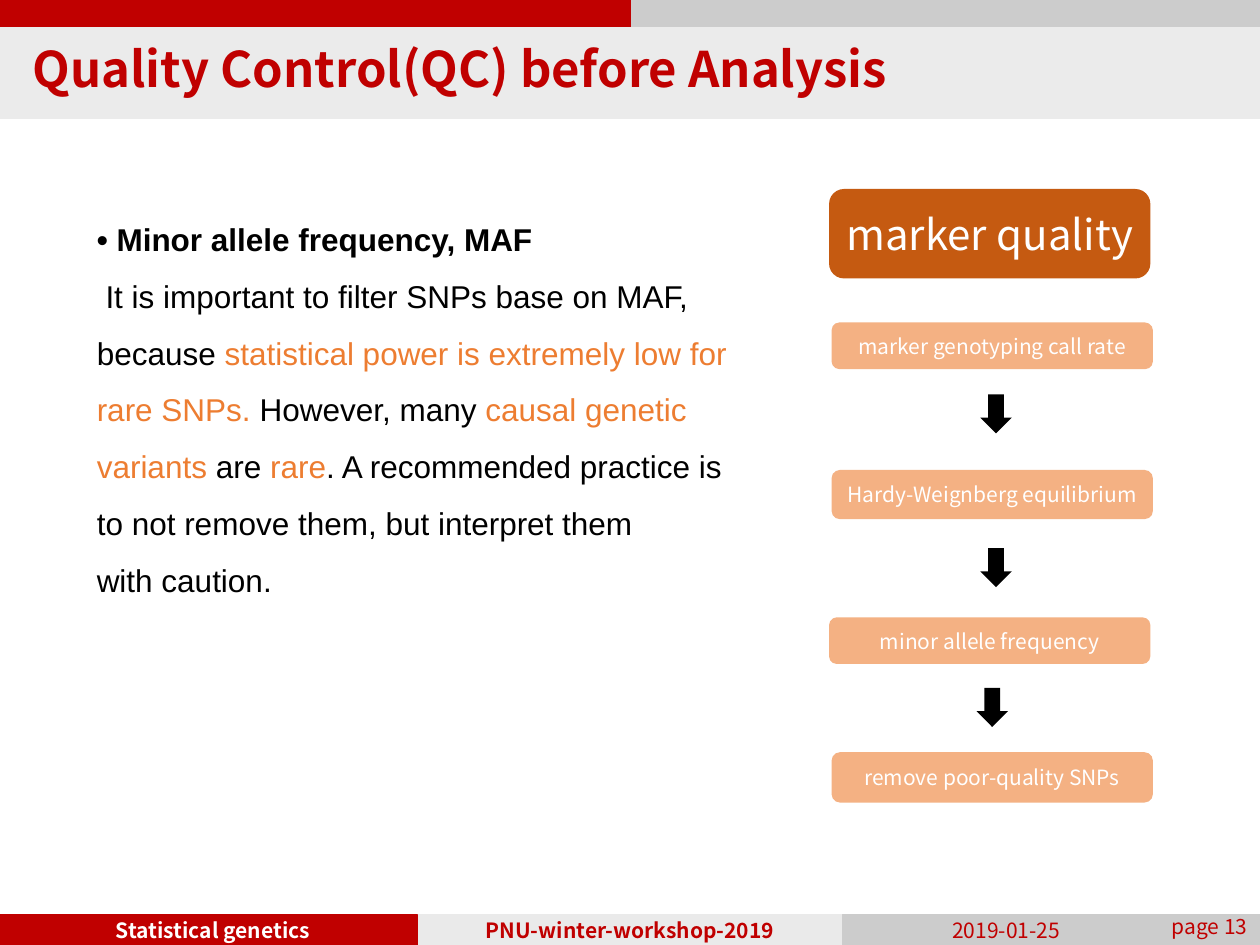
from typing import NamedTuple, Optional

from pptx import Presentation
from pptx import util as u
from pptx.dml.color import RGBColor
from pptx.enum import shapes, text

RED = RGBColor(0xC0, 0x00, 0x00)
GREY = RGBColor(0xCC, 0xCC, 0xCC)
LIGHT = RGBColor(0xEA, 0xEA, 0xEA)
PALE = RGBColor(0xEB, 0xEB, 0xEB)
WHITE = RGBColor(0xFF, 0xFF, 0xFF)
BLACK = RGBColor(0x00, 0x00, 0x00)
RUST = RGBColor(0xC5, 0x5A, 0x11)
PEACH = RGBColor(0xF4, 0xB1, 0x83)
ORANGE = RGBColor(0xED, 0x7D, 0x31)

SANS = "Noto Sans CJK KR"
KIND = shapes.MSO_SHAPE
ALIGN = text.PP_ALIGN
ANCHOR = text.MSO_ANCHOR


class Box(NamedTuple):
    left: float
    top: float
    width: float
    height: float


class Style(NamedTuple):
    size: int
    color: RGBColor
    bold: bool = False
    align: ALIGN = ALIGN.CENTER
    anchor: ANCHOR = ANCHOR.MIDDLE
    font: str = SANS


class Bar(NamedTuple):
    box: Box
    color: RGBColor


class Label(NamedTuple):
    box: Box
    words: str
    style: Style


class Step(NamedTuple):
    box: Box
    words: str
    fill: RGBColor = PEACH
    size: int = 12


def place(box: Box) -> list:
    return [u.Inches(n) for n in box]


def set_font(font, style: Style) -> None:
    font.name = style.font
    font.size = u.Pt(style.size)
    font.bold = style.bold
    font.color.rgb = style.color


def write(shape, words: str, style: Style):
    """Put one line of text in a shape and return its paragraph."""
    frame = shape.text_frame
    frame.word_wrap = True
    frame.vertical_anchor = style.anchor
    para = frame.paragraphs[0]
    para.text = words
    para.alignment = style.align
    set_font(para.font, style)
    return para


def add_shape(slide, kind: KIND, box: Box, fill: RGBColor,
              edge: Optional[RGBColor] = None):
    shape = slide.shapes.add_shape(kind, *place(box))
    shape.shadow.inherit = False
    shape.fill.solid()
    shape.fill.fore_color.rgb = fill
    if edge is None:
        shape.line.fill.background()
    else:
        shape.line.color.rgb = edge
        shape.line.width = u.Pt(0.75)
    return shape


def add_title(slide, words: str) -> None:
    shape = slide.shapes.add_textbox(*place(Box(0, 0.22, 10, 0.7)))
    style = Style(28, RED, True, ALIGN.LEFT, ANCHOR.TOP)
    para = write(shape, words, style)
    para.line_spacing = 0.9
    shape.text_frame.margin_left = u.Inches(0.26)
    shape.text_frame.margin_top = u.Inches(0.14)


def add_body(slide, box: Box, paras: list) -> None:
    """Each paragraph is a bold flag and a list of (words, color) runs."""
    frame = slide.shapes.add_textbox(*place(box)).text_frame
    frame.word_wrap = True
    frame.auto_size = text.MSO_AUTO_SIZE.SHAPE_TO_FIT_TEXT
    for i, (bold, runs) in enumerate(paras):
        para = frame.add_paragraph() if i else frame.paragraphs[0]
        para.line_spacing = 1.5
        set_font(para.font, Style(18, BLACK, bold, font="Arial"))
        for words, color in runs:
            run = para.add_run()
            run.text = words
            set_font(run.font, Style(18, color, bold, font="Arial"))


FOOT = 7.26
BARS = [
    Bar(Box(3.31, FOOT, 3.38, 0.24), LIGHT),
    Bar(Box(5, 0, 5, 0.22), GREY),
    Bar(Box(0, 0, 5, 0.22), RED),
    Bar(Box(6.69, FOOT, 3.31, 0.24), GREY),
    Bar(Box(0, FOOT, 3.31, 0.24), RED),
    Bar(Box(0, 0.22, 10, 0.72), PALE),
]
LABELS = [
    Label(Box(0, FOOT, 3.38, 0.25), "Statistical genetics",
          Style(12, WHITE, True)),
    Label(Box(6.33, FOOT, 3.31, 0.24), "2019-01-25", Style(12, RED)),
    Label(Box(3.31, FOOT, 3.38, 0.25), "PNU-winter-workshop-2019",
          Style(12, RED, True)),
    Label(Box(7.75, FOOT, 2.25, 0.24), "page 13",
          Style(12, RED, align=ALIGN.RIGHT, anchor=ANCHOR.BOTTOM)),
]
BODY = [
    (True, [("• Minor allele frequency, MAF", BLACK)]),
    (False, [
        (" It is important to filter SNPs base on MAF, because ", BLACK),
        ("statistical power is extremely low for rare SNPs. ", ORANGE),
        ("However, many ", BLACK),
        ("causal genetic variants ", ORANGE),
        ("are ", BLACK),
        ("rare", ORANGE),
        (". A recommended practice is to not remove them, "
         "but interpret them", BLACK),
    ]),
    (False, [("with caution.", BLACK)]),
]
STEPS = [
    Step(Box(6.58, 1.5, 2.55, 0.71), "marker quality", RUST, 24),
    Step(Box(6.6, 2.56, 2.55, 0.37), "marker genotyping call rate"),
    Step(Box(6.6, 3.73, 2.55, 0.39), "Hardy-Weignberg equilibrium"),
    Step(Box(6.58, 4.9, 2.55, 0.37), "minor allele frequency"),
    Step(Box(6.6, 5.97, 2.55, 0.4), "remove poor-quality SNPs"),
]
ARROWS = [(7.78, 3.13), (7.78, 4.35), (7.75, 5.46)]


def main() -> None:
    deck = Presentation()
    deck.slide_width, deck.slide_height = u.Inches(10), u.Inches(7.5)
    slide = deck.slides.add_slide(deck.slide_layouts[6])

    # Header and footer
    for bar in BARS:
        add_shape(slide, KIND.RECTANGLE, bar.box, bar.color, bar.color)
    add_title(slide, "Quality Control(QC) before Analysis")
    for label in LABELS:
        shape = slide.shapes.add_textbox(*place(label.box))
        write(shape, label.words, label.style)

    # Body text
    add_body(slide, Box(0.67, 1.55, 5.33, 3.27), BODY)

    # Flow of marker checks
    for step in STEPS:
        shape = add_shape(slide, KIND.ROUNDED_RECTANGLE, step.box, step.fill)
        write(shape, step.words, Style(step.size, WHITE))
    for left, top in ARROWS:
        add_shape(slide, KIND.DOWN_ARROW, Box(left, top, 0.25, 0.31), BLACK)

    deck.save("out.pptx")


if __name__ == "__main__":
    main()
